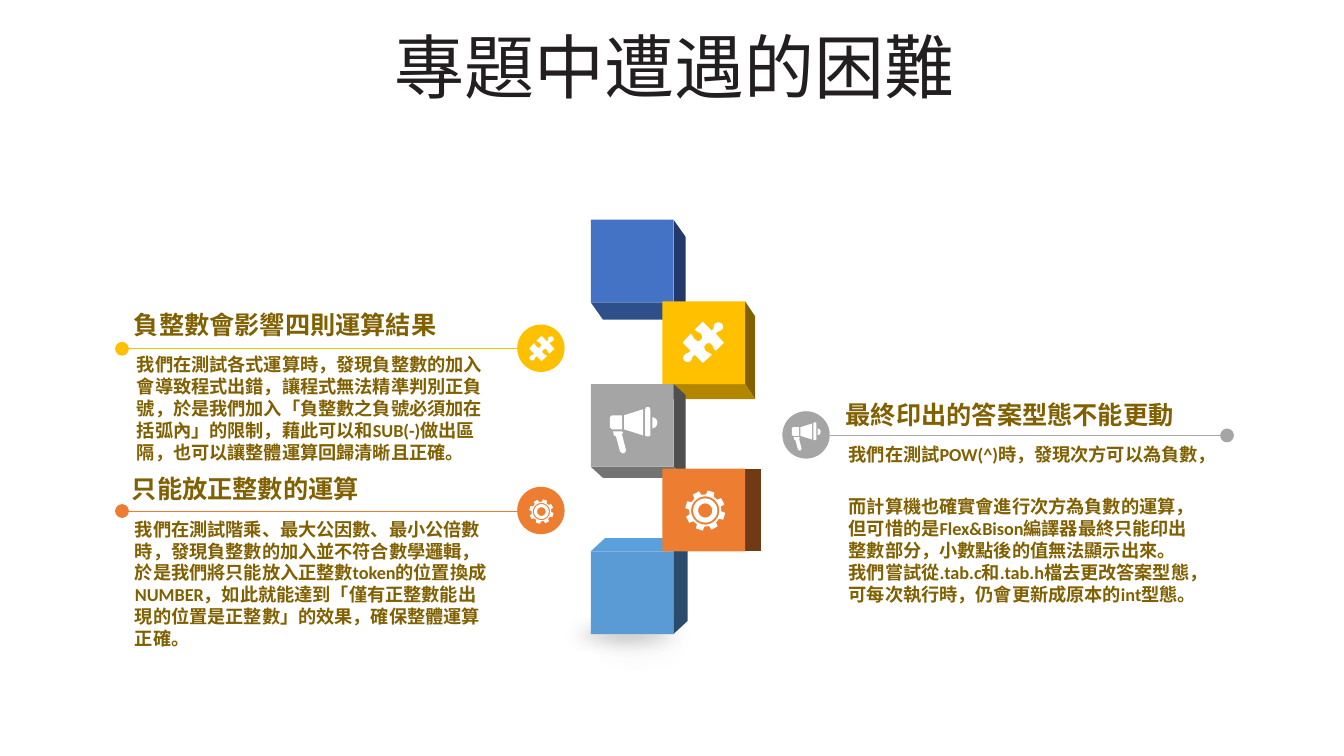
from math import cos, radians, sin

from lxml.etree import SubElement
from pptx import Presentation
from pptx.dml.color import RGBColor
from pptx.enum.shapes import MSO_CONNECTOR as Connector, MSO_SHAPE as Shape
from pptx.enum.text import MSO_ANCHOR as Anchor, PP_ALIGN as Align
from pptx.oxml.ns import qn
from pptx.util import Inches, Pt

# The slide is a grid of 1333 columns by 750 rows; every length counts cells.
CELL = Inches(0.01)
FONT = "Calibri"
COLORS = {
    "blue": "4472C4", "blue side": "22396A", "blue base": "2F4F8A",
    "yellow": "FFC000", "yellow side": "806000", "yellow base": "B38600",
    "gray": "A5A5A5", "gray side": "4F4F4F", "gray base": "737373",
    "sky": "5B9BD5", "sky side": "2A4C6C", "sky base": "5AA0DC",
    "orange": "ED7D31", "orange side": "723A14", "orange base": "A5531D",
    "white": "FFFFFF", "shadow": "808080", "title": "231F20", "text": "806000",
}
COLORS = {name: RGBColor.from_string(value) for name, value in COLORS.items()}

presentation = Presentation()
presentation.slide_width = 1333 * CELL
presentation.slide_height = 750 * CELL
slide = presentation.slides.add_slide(presentation.slide_layouts[5])
shapes = slide.shapes


def draw_outline(contours, center, scale, color):
    """Fill closed contours; a six-number node is a Bézier curve, a pair a corner."""
    builder = None
    for contour in contours:
        points = []
        for node in contour:
            if len(node) == 2:
                points.append(node)
                continue
            x0, y0 = points[-1]
            x1, y1, x2, y2, x3, y3 = node
            for step in range(1, 7):
                t = step / 6
                u = 1 - t
                a, b, c, d = u**3, 3 * u * u * t, 3 * u * t * t, t**3
                points.append((a * x0 + b * x1 + c * x2 + d * x3,
                               a * y0 + b * y1 + c * y2 + d * y3))
        placed = [((center[0] + x * scale) * CELL, (center[1] + y * scale) * CELL)
                  for x, y in points]
        if builder is None:
            builder = shapes.build_freeform(*placed[0])
        else:
            builder.move_to(*placed[0])
        builder.add_line_segments(placed[1:], close=True)
    shape = builder.convert_to_shape()
    shape.shadow.inherit = False
    shape.fill.solid()
    shape.fill.fore_color.rgb = color
    shape.line.fill.background()


def add_text(box, paragraphs, size, wrap=True):
    """Add a bold text box; each paragraph is a list of lines."""
    text_box = shapes.add_textbox(*(n * CELL for n in box))
    frame = text_box.text_frame
    frame.word_wrap = wrap
    for index, lines in enumerate(paragraphs):
        paragraph = frame.add_paragraph() if index else frame.paragraphs[0]
        for number, line in enumerate(lines):
            if number:
                paragraph.add_line_break()
            run = paragraph.add_run()
            run.text = line
            run.font.name = FONT
            run.font.size = Pt(size)
            run.font.bold = True
            run.font.color.rgb = COLORS["text"]


# Title
title = shapes.title
title.left, title.top, title.width, title.height = (n * CELL for n in (36, 33, 1266, 79))
title.text_frame.vertical_anchor = Anchor.MIDDLE
paragraph = title.text_frame.paragraphs[0]
paragraph.alignment = Align.CENTER
paragraph.line_spacing = 0.8
run = paragraph.add_run()
run.text = "專題中遭遇的困難"
run.font.name = FONT
run.font.size = Pt(50)
run.font.color.rgb = COLORS["title"]

# Soft shadow under the tower
for left, top, width, height, opacity, blur in (
        (490, 590, 285, 86, 25, 26), (527, 606, 189, 47, 51, 12)):
    shadow = shapes.add_shape(Shape.OVAL, left * CELL, top * CELL, width * CELL, height * CELL)
    shadow.fill.solid()
    shadow.fill.fore_color.rgb = COLORS["shadow"]
    shadow.line.fill.background()
    shadow.shadow.inherit = False
    properties = shadow.element.spPr
    color = properties.find(qn("a:solidFill"))[0]
    SubElement(color, qn("a:alpha"), val=str(opacity * 1000))
    SubElement(properties.find(qn("a:effectLst")), qn("a:softEdge"), rad=str(Pt(blur)))

# Tower of cubes: front face, then the depth towards the back edge
EDGE = 82
for name, left, top, depth_x, depth_y in (
        ("blue", 586, 218, 12, 17), ("yellow", 657, 299, 10, 15),
        ("gray", 586, 381, 12, 11), ("sky", 586, 547, 14, -13),
        ("orange", 657, 465, 16, 0)):
    side = [(EDGE, 0), (EDGE + depth_x, depth_y),
            (EDGE + depth_x, EDGE + depth_y), (EDGE, EDGE)]
    draw_outline([side], (left, top), 1, COLORS[name + " side"])
    if depth_y:
        row = EDGE if depth_y > 0 else 0
        base = [(0, row), (EDGE, row), (EDGE + depth_x, row + depth_y), (depth_x, row + depth_y)]
        draw_outline([base], (left, top), 1, COLORS[name + " base"])
    front = shapes.add_shape(Shape.RECTANGLE, left * CELL, top * CELL, EDGE * CELL, EDGE * CELL)
    front.shadow.inherit = False
    front.fill.solid()
    front.fill.fore_color.rgb = COLORS[name]
    front.line.fill.background()

# Icon outlines around their own centre
puzzle = [[
    (19, -19), (20, -17, 21, -15, 19, -13), (17, -11, 15, -12, 13, -9), (21, 0), (13, 8),
    (10, 6, 11, 3, 8, 1), (7, 0, 4, 0, 3, 2), (1, 3, 1, 6, 3, 8), (5, 10, 6, 9, 9, 12),
    (0, 20), (-8, 12), (-11, 14, -10, 15, -12, 18), (-14, 20, -17, 19, -18, 18),
    (-20, 16, -20, 14, -18, 12), (-17, 10, -14, 11, -12, 8), (-20, 0), (-12, -9),
    (-9, -7, -10, -4, -7, -3), (-6, -1, -3, -1, -2, -3), (0, -4, 0, -7, -2, -9),
    (-4, -11, -5, -10, -8, -13), (0, -21), (9, -12), (12, -15, 10, -16, 12, -19),
    (15, -21, 17, -20, 19, -19)]]
megaphone = [
    [(-12, 1), (-11, 2), (-12, 4), (-8, 20), (-9, 22), (-11, 23), (-14, 21),
     (-18, 6), (-20, 5), (-21, 1)],
    [(18, -13), (20, -13, 23, -11, 23, -8), (23, -5, 21, -2, 18, -2)],
    [(-22, -15), (-12, -15), (-12, -1), (-22, -1), (-24, -3), (-24, -13)],
    [(9, -21), (9, 5), (-10, -1), (-10, -15)],
    [(12, -23), (15, -23), (16, -21), (16, 5), (15, 6), (12, 6), (11, 5), (11, -21)]]
teeth = [(radius * cos(radians(45 * tooth - 28 + turn)),
          radius * sin(radians(45 * tooth - 28 + turn)))
         for tooth in range(8)
         for turn, radius in ((-14, 16), (-10, 20), (10, 20), (14, 16))]
rings = [[(radius * cos(radians(angle)), radius * sin(radians(angle)))
          for angle in range(0, 360, 10)] for radius in (14, 12, 7)]
gear = [teeth] + rings

# Callouts: badge, leader line with a round end, icon on the badge and on the cube
BADGE, LEADER = 47, 394
for name, left, top, side, icon, badge_center, cube_center in (
        ("yellow", 513, 322, "left", puzzle, (537, 346), (697, 340)),
        ("gray", 776, 408, "right", megaphone, (800, 433), (629, 427)),
        ("orange", 513, 483, "left", gear, (537, 507.5), (699.5, 506.5))):
    badge = shapes.add_shape(Shape.OVAL, left * CELL, top * CELL, BADGE * CELL, BADGE * CELL)
    badge.shadow.inherit = False
    badge.fill.solid()
    badge.fill.fore_color.rgb = COLORS[name]
    badge.line.fill.background()
    start = 121 if side == "left" else left + BADGE
    row = top + 24
    leader = shapes.add_connector(Connector.STRAIGHT, start * CELL, row * CELL,
                                  (start + LEADER) * CELL, row * CELL)
    leader.line.color.rgb = COLORS[name]
    leader.line.width = Pt(0.5)
    end = "a:headEnd" if side == "left" else "a:tailEnd"
    SubElement(leader.line._get_or_add_ln(), qn(end), type="oval", w="lg", len="lg")
    SubElement(leader.element.spPr, qn("a:effectLst"))
    draw_outline(icon, badge_center, 0.61, COLORS["white"])
    draw_outline(icon, cube_center, 1, COLORS["white"])

# Headings and explanations
for heading, heading_box, body, body_box in (
        ("負整數會影響四則運算結果", (123, 302, 323, 40),
         [["我們在測試各式運算時，發現負整數的加入會導致程式出錯，讓程式無法精準判別正負號，於是我們加入「負整數之負號必須加在括弧內」的限制，藉此可以和SUB(-)做出區隔，也可以讓整體運算回歸清晰且正確。"]],
         (126, 346, 370, 141)),
        ("只能放正整數的運算", (121, 465, 247, 40),
         [["我們在測試階乘、最大公因數、最小公倍數時，發現負整數的加入並不符合數學邏輯，於是我們將只能放入正整數token的位置換成NUMBER，如此就能達到「僅有正整數能出現的位置是正整數」的效果，確保整體運算正確。"]],
         (124, 509, 370, 163)),
        ("最終印出的答案型態不能更動", (829, 391, 348, 40),
         [["我們在測試POW(^)時，發現次方可以為負數，",
           "而計算機也確實會進行次方為負數的運算，但可惜的是Flex&Bison編譯器最終只能印出整數部分，小數點後的值無法顯示出來。"],
          ["我們嘗試從.tab.c和.tab.h檔去更改答案型態，"],
          ["可每次執行時，仍會更新成原本的int型態。"]],
         (832, 435, 370, 141))):
    add_text(heading_box, [[heading]], 18, wrap=False)
    add_text(body_box, body, 13)

presentation.save("out.pptx")
